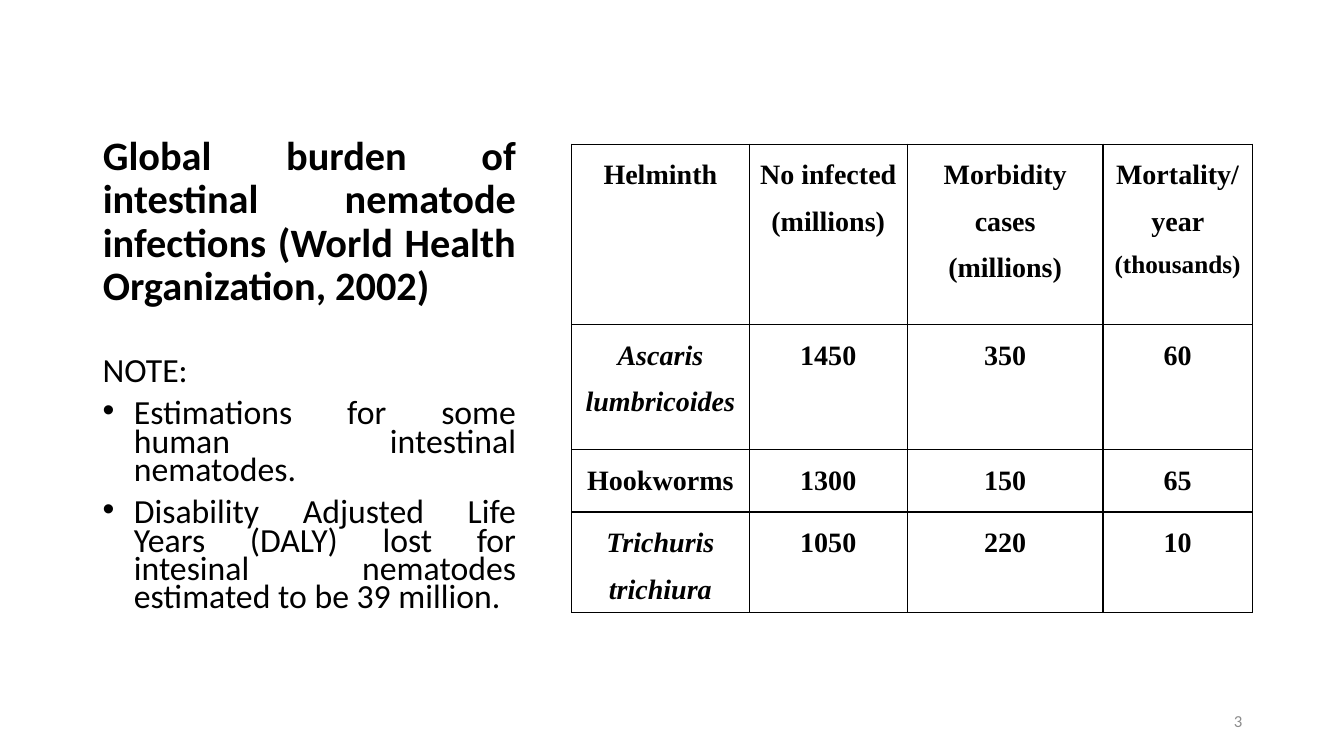
from lxml import etree
from pptx import Presentation
from pptx.dml.color import RGBColor
from pptx.enum.text import MSO_ANCHOR, MSO_AUTO_SIZE, PP_ALIGN
from pptx.oxml.ns import qn
from pptx.util import Inches, Pt

BLACK = RGBColor(0x00, 0x00, 0x00)
GREY = RGBColor(0x8C, 0x8C, 0x8C)
BODY_FONT = "Calibri"
TABLE_FONT = "Times New Roman"

TITLE = "Global burden of intestinal nematode infections (World Health Organization, 2002)"
NOTES = [
    "Estimations for some human intestinal nematodes.",
    "Disability Adjusted Life Years (DALY) lost for intesinal nematodes "
    "estimated to be 39 million.",
]
BURDEN = [
    ["Helminth", "No infected (millions)", "Morbidity cases (millions)", "Mortality/year "],
    ["Ascaris lumbricoides", "1450", "350", "60"],
    ["Hookworms", "1300", "150", "65"],
    ["Trichuris trichiura", "1050", "220", "10"],
]
SPECIES = ("Ascaris lumbricoides", "Trichuris trichiura")
COLUMN_WIDTHS = [1.76, 1.57, 1.94, 1.48]
ROW_HEIGHTS = [1.79, 1.24, 0.62, 0.87]


def style_run(run, size, font=BODY_FONT, color=BLACK, bold=False, italic=False):
    run.font.size = Pt(size)
    run.font.name = font
    run.font.color.rgb = color
    run.font.bold = bold
    run.font.italic = italic


def add_text_frame(slide, left, top, width, height):
    box = slide.shapes.add_textbox(Inches(left), Inches(top), Inches(width), Inches(height))
    box.text_frame.word_wrap = True
    return box.text_frame


def add_title(slide, left, top, width, height):
    title = slide.shapes.title
    title.left, title.top = Inches(left), Inches(top)
    title.width, title.height = Inches(width), Inches(height)
    frame = title.text_frame
    frame.text = TITLE
    frame.auto_size = MSO_AUTO_SIZE.NONE
    frame.vertical_anchor = MSO_ANCHOR.BOTTOM
    heading = frame.paragraphs[0]
    heading.alignment = PP_ALIGN.JUSTIFY
    heading.line_spacing = 0.9
    style_run(heading.runs[0], 28.8, bold=True)


def set_bullet(paragraph):
    properties = paragraph._p.get_or_add_pPr()
    properties.set("marL", str(Inches(0.31)))
    properties.set("indent", str(Inches(-0.31)))
    etree.SubElement(properties, qn("a:buFont"), typeface="Arial")
    etree.SubElement(properties, qn("a:buChar"), char="•")


def add_notes(slide, left, top, width, height):
    frame = add_text_frame(slide, left, top, width, height)
    frame.text = "\n".join(["NOTE:"] + NOTES)
    for index, paragraph in enumerate(frame.paragraphs):
        paragraph.alignment = PP_ALIGN.JUSTIFY
        paragraph.line_spacing = 0.7
        paragraph.space_before = Pt(10)
        style_run(paragraph.runs[0], 24.1)
        if index > 0:
            set_bullet(paragraph)


def set_borders(cell):
    properties = cell._tc.get_or_add_tcPr()
    for position, side in enumerate(("a:lnL", "a:lnR", "a:lnT", "a:lnB")):
        line = properties.makeelement(qn(side), {"w": str(Pt(1))})
        fill = etree.SubElement(line, qn("a:solidFill"))
        etree.SubElement(fill, qn("a:srgbClr"), val=str(BLACK))
        properties.insert(position, line)


def fill_cell(cell, text):
    cell.fill.background()
    set_borders(cell)
    cell.margin_left = cell.margin_right = Inches(0.07)
    cell.margin_top = cell.margin_bottom = 0
    cell.text_frame.text = text
    paragraph = cell.text_frame.paragraphs[0]
    paragraph.alignment = PP_ALIGN.CENTER
    paragraph.line_spacing = 1.5
    paragraph.space_after = Pt(8)
    style_run(paragraph.runs[0], 20, TABLE_FONT, bold=True, italic=text in SPECIES)


def add_burden_table(slide, left, top):
    table = slide.shapes.add_table(
        len(BURDEN), len(COLUMN_WIDTHS), Inches(left), Inches(top),
        Inches(sum(COLUMN_WIDTHS)), Inches(sum(ROW_HEIGHTS))).table
    for column, width in zip(table.columns, COLUMN_WIDTHS):
        column.width = Inches(width)
    for row, height, texts in zip(table.rows, ROW_HEIGHTS, BURDEN):
        row.height = Inches(height)
        for cell, text in zip(row.cells, texts):
            fill_cell(cell, text)
    # Smaller unit in the mortality heading
    unit = table.cell(0, 3).text_frame.paragraphs[0].add_run()
    unit.text = "(thousands)"
    style_run(unit, 18, TABLE_FONT, bold=True)


def add_page_number(slide, left, top, width, height):
    frame = add_text_frame(slide, left, top, width, height)
    frame.vertical_anchor = MSO_ANCHOR.MIDDLE
    frame.text = "3"
    number = frame.paragraphs[0]
    number.alignment = PP_ALIGN.RIGHT
    style_run(number.runs[0], 12, color=GREY)


def main():
    deck = Presentation()
    deck.slide_width, deck.slide_height = Inches(13.33), Inches(7.5)
    slide = deck.slides.add_slide(deck.slide_layouts[5])
    # Left column: heading and notes
    add_title(slide, 0.92, 1.13, 4.3, 1.99)
    add_notes(slide, 0.92, 3.52, 4.3, 2.9)
    # Right column: figures per helminth
    add_burden_table(slide, 5.67, 1.43)
    add_page_number(slide, 9.42, 6.95, 3, 0.4)
    deck.save("out.pptx")


if __name__ == "__main__":
    main()
